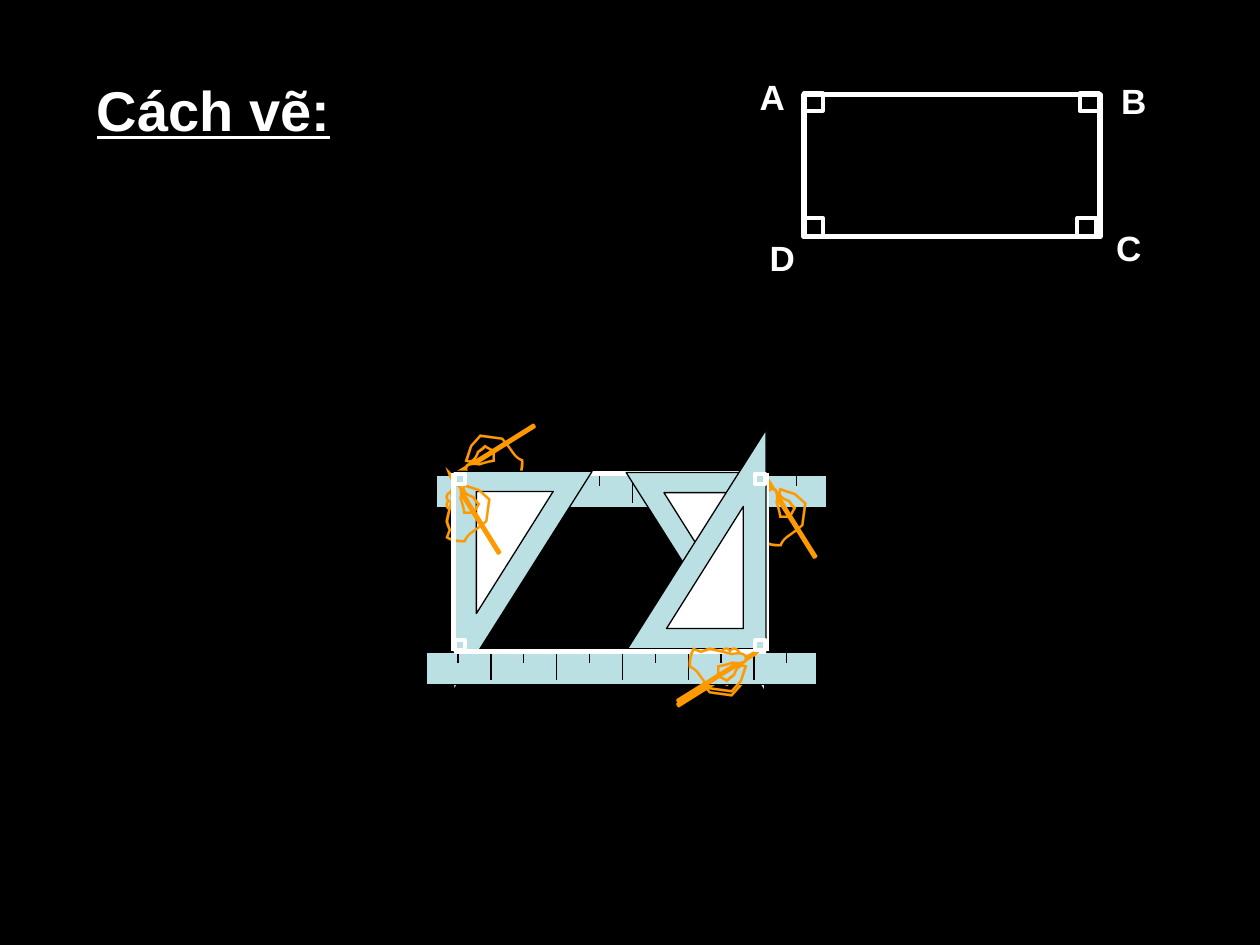
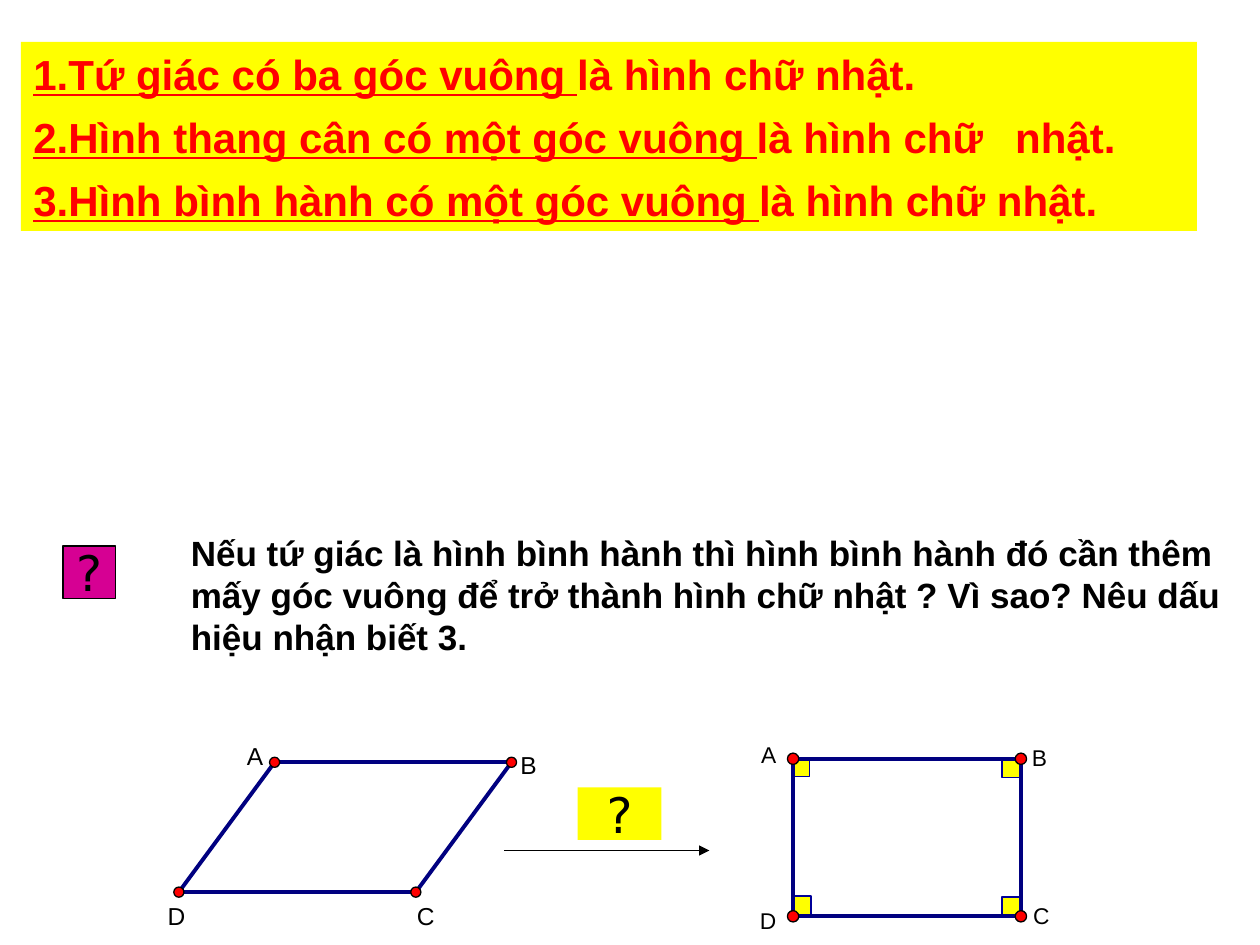
"""Build two geometry slides on drawing and recognising rectangles."""
from dataclasses import dataclass
from itertools import product

from lxml import etree
from pptx import Presentation
from pptx.dml.color import RGBColor
from pptx.enum import shapes, text
from pptx.oxml import ns
from pptx.util import Pt

COLOURS = {
    "black": "000000", "white": "FFFFFF", "pen": "FF9900", "tool": "BBE0E3",
    "yellow": "FFFF00", "red": "FF0000", "magenta": "D60093",
    "edge": "000080", "corner": "000099",
}
KIND = shapes.MSO_SHAPE


@dataclass(frozen=True)
class TextStyle:
    size: float
    colour: str = "black"
    bold: bool = False
    underline: bool = False
    font: str = "Arial"
    inset: bool = True
    wrap: bool = True
    grow: bool = False
    centred: bool = False


@dataclass(frozen=True)
class Box:
    x: float
    y: float
    w: float
    h: float
    turn: int = 0
    flip: bool = False


@dataclass(frozen=True)
class Look:
    fill: str | None = None
    line: str | None = None
    width: float = 0.75


@dataclass(frozen=True)
class Vertex:
    name: str
    x: float
    y: float
    label_x: float
    label_y: float


@dataclass(frozen=True)
class Criterion:
    condition: str
    conclusion: str


VERTEX_NAME = TextStyle(20, "white", bold=True)
HEADING = TextStyle(32, "white", bold=True, underline=True, grow=True)
PEN = TextStyle(60, "pen", grow=True)
CRITERION = TextStyle(24, "red", bold=True, underline=True, grow=True)
QUESTION = TextStyle(20, bold=True, grow=True)
QUESTION_MARK = TextStyle(28, font="DejaVu Sans", wrap=False, centred=True)

TOOL = Look("tool", "black")
HOLE = Look("white", "black")
RIGHT_ANGLE = Look(line="white", width=2.25)
CORNER = Look("yellow", "corner", 1)
DOT = Look("red", "black", 0)

CRITERIA = [
    Criterion("1.Tứ giác có ba góc vuông ", "là hình chữ nhật."),
    Criterion("2.Hình thang cân có một góc vuông ", "là hình chữ\tnhật."),
    Criterion("3.Hình bình hành có một góc vuông ", "là hình chữ nhật."),
]
PARALLELOGRAM = [
    Vertex("A", 156.9, 435.6, 141.1, 423.4), Vertex("B", 292.3, 435.6, 297.4, 428.4),
    Vertex("C", 237.6, 509.8, 238.3, 514.8), Vertex("D", 102.2, 509.8, 95.8, 514.8),
]
RECTANGLE = [
    Vertex("A", 453.2, 433.6, 434.9, 423.4), Vertex("B", 583.4, 433.6, 589.7, 424.8),
    Vertex("C", 583.4, 523.6, 590.4, 515.5), Vertex("D", 453.2, 523.6, 434.2, 518.4),
]


def rgb(name: str) -> RGBColor:
    return RGBColor.from_string(COLOURS[name])


def add_slide(deck, colour: str):
    slide = deck.slides.add_slide(deck.slide_layouts[6])
    slide.background.fill.solid()
    slide.background.fill.fore_color.rgb = rgb(colour)
    return slide


def style_run(run, style: TextStyle, underline: bool) -> None:
    run.font.name = style.font
    run.font.size = Pt(style.size)
    run.font.bold = style.bold
    run.font.underline = underline
    run.font.color.rgb = rgb(style.colour)


def write(holder, words: str, style: TextStyle):
    frame = holder.text_frame
    frame.text = words
    frame.word_wrap = style.wrap
    frame.auto_size = (text.MSO_AUTO_SIZE.SHAPE_TO_FIT_TEXT if style.grow
                       else text.MSO_AUTO_SIZE.NONE)
    frame.margin_left = frame.margin_right = Pt(7.2 if style.inset else 0)
    frame.margin_top = frame.margin_bottom = Pt(3.6 if style.inset else 0)
    frame.vertical_anchor = text.MSO_ANCHOR.MIDDLE if style.centred else text.MSO_ANCHOR.TOP
    paragraph = frame.paragraphs[0]
    paragraph.alignment = text.PP_ALIGN.CENTER if style.centred else text.PP_ALIGN.LEFT
    style_run(paragraph.runs[0], style, style.underline)
    return paragraph


def add_text(slide, words: str, box: Box, style: TextStyle) -> None:
    holder = slide.shapes.add_textbox(Pt(box.x), Pt(box.y), Pt(box.w), Pt(box.h))
    holder.rotation = box.turn
    write(holder, words, style)


def add_figure(slide, kind, box: Box, look: Look):
    figure = slide.shapes.add_shape(kind, Pt(box.x), Pt(box.y), Pt(box.w), Pt(box.h))
    figure.shadow.inherit = False
    figure.rotation = box.turn
    if box.flip:
        figure._element.spPr.get_or_add_xfrm().set("flipH", "1")
    if look.fill:
        figure.fill.solid()
        figure.fill.fore_color.rgb = rgb(look.fill)
    else:
        figure.fill.background()
    if look.line:
        figure.line.color.rgb = rgb(look.line)
        figure.line.width = Pt(look.width)
    else:
        figure.line.fill.background()
    return figure


def add_line(slide, x1: float, y1: float, x2: float, y2: float,
             colour: str = "black", width: float = 0.75, arrow: bool = False) -> None:
    line = slide.shapes.add_connector(
        shapes.MSO_CONNECTOR.STRAIGHT, Pt(x1), Pt(y1), Pt(x2), Pt(y2))
    line.line.color.rgb = rgb(colour)
    line.line.width = Pt(width)
    if arrow:
        etree.SubElement(line.line._get_or_add_ln(), ns.qn("a:tailEnd"), type="triangle")
    etree.SubElement(line._element.spPr, ns.qn("a:effectLst"))


def add_ruler(slide, x: float, y: float) -> None:
    add_figure(slide, KIND.RECTANGLE, Box(x, y, 223.2, 18.7), TOOL)
    for mark in range(11):
        mark_x = x + 18.4 + 18.78 * mark
        add_line(slide, mark_x, y, mark_x, y + (15.8 if mark % 2 else 6.5))


def add_set_square(slide, x: float, y: float, hole_x: float, hole_y: float,
                   turn: int, flip: bool) -> None:
    outer = Box(x, y, 79.2, 125.3, turn, flip)
    inner = Box(hole_x, hole_y, 43.9, 69.8, turn, flip)
    for box, look in ((outer, TOOL), (inner, HOLE)):
        add_figure(slide, KIND.RIGHT_TRIANGLE, box, look)


def add_pen(slide, x: float, y: float, turn: int = 0) -> None:
    add_text(slide, "✍", Box(x, y, 77.8, 79.2, turn), PEN)


def add_quadrilateral(slide, vertices: list[Vertex], dot: float, size: float) -> None:
    for start, end in zip(vertices, vertices[1:] + vertices[:1]):
        add_line(slide, start.x, start.y, end.x, end.y, "edge", 2.25)
    name_style = TextStyle(size, inset=False, wrap=False, grow=True)
    for vertex in vertices:
        spot = Box(vertex.x - dot / 2, vertex.y - dot / 2, dot, dot)
        add_figure(slide, KIND.OVAL, spot, DOT)
        add_text(slide, vertex.name, Box(vertex.label_x, vertex.label_y, 9.4, 16), name_style)


def build_drawing_slide(deck) -> None:
    slide = add_slide(deck, "black")
    add_figure(slide, KIND.RECTANGLE, Box(459.4, 54, 169.2, 81.4),
               Look(line="white", width=3))
    for x, y in ((459.4, 53.3), (617, 53.3), (615.6, 124.6), (459.4, 124.6)):
        add_figure(slide, KIND.RECTANGLE, Box(x, y, 10.8, 10.1), RIGHT_ANGLE)
    for name, x, y in (("A", 427, 39.6), ("B", 633.6, 41.8),
                       ("C", 630.7, 126), ("D", 432.7, 131.8)):
        add_text(slide, name, Box(x, y, 50.4, 32.4), VERTEX_NAME)
    add_text(slide, "Cách vẽ:", Box(48.2, 39.6, 180, 46.1), HEADING)

    left, right, top, bottom = 259.2, 437.8, 270.4, 372.2
    add_pen(slide, 247, 210.2)
    add_ruler(slide, 249.1, 271.4)
    add_line(slide, left, top, right, top, "white", 3)
    add_set_square(slide, 259.2, 269.3, 272.2, 280.8, 180, True)
    add_set_square(slide, 357.8, 270, 379.4, 281.5, 180, False)
    add_pen(slide, 421.2, 259.2, 90)
    add_line(slide, right, top, right, bottom, "white", 3)
    add_set_square(slide, 358.6, 245.5, 380.9, 289.4, 0, True)
    add_pen(slide, 368.6, 357.8, 180)
    add_line(slide, right, bottom, 365.8, bottom, "white", 2.25)
    add_ruler(slide, 243.4, 372.6)
    add_line(slide, right, bottom, left, bottom, "white", 3)
    add_pen(slide, 368.6, 355.7, 180)
    add_pen(slide, 240.5, 257, 90)
    add_line(slide, left, top, left, bottom, "white", 3)
    for x, y in product((260, 431.6), (270.7, 365.8)):
        add_figure(slide, KIND.RECTANGLE, Box(x, y, 5.8, 5.8), RIGHT_ANGLE)


def build_recognition_slide(deck) -> None:
    slide = add_slide(deck, "white")
    for row, criterion in enumerate(CRITERIA):
        band = add_figure(slide, KIND.RECTANGLE, Box(12, 24 + 36 * row, 672, 36),
                          Look("yellow"))
        paragraph = write(band, criterion.condition, CRITERION)
        if "\t" in criterion.conclusion:
            stops = etree.SubElement(paragraph._p.get_or_add_pPr(), ns.qn("a:tabLst"))
            etree.SubElement(stops, ns.qn("a:tab"), pos=str(Pt(561)), algn="l")
        conclusion = paragraph.add_run()
        conclusion.text = criterion.conclusion
        style_run(conclusion, CRITERION, False)

    add_text(slide, "Nếu tứ giác là hình bình hành thì hình bình hành đó cần thêm "
             "mấy góc vuông để trở thành hình chữ nhật ? Vì sao? Nêu dấu hiệu "
             "nhận biết 3.", Box(102, 300, 606, 79.2), QUESTION)
    for box, look in ((Box(36, 312, 30, 30), Look("magenta", "black")),
                      (Box(330, 450, 48, 30), Look("yellow"))):
        write(add_figure(slide, KIND.RECTANGLE, box, look), "?", QUESTION_MARK)

    for x, y in ((452.5, 433), (453.6, 512), (572.6, 433.6), (572.6, 512.6)):
        add_figure(slide, KIND.RECTANGLE, Box(x, y, 10.1, 10.8), CORNER)
    add_quadrilateral(slide, RECTANGLE, 6.5, 13)
    add_quadrilateral(slide, PARALLELOGRAM, 5.8, 14)
    add_line(slide, 288, 486, 405.4, 486, arrow=True)


def main() -> None:
    deck = Presentation()
    deck.slide_width, deck.slide_height = Pt(720), Pt(540)
    build_drawing_slide(deck)
    build_recognition_slide(deck)
    deck.save("out.pptx")


if __name__ == "__main__":
    main()
